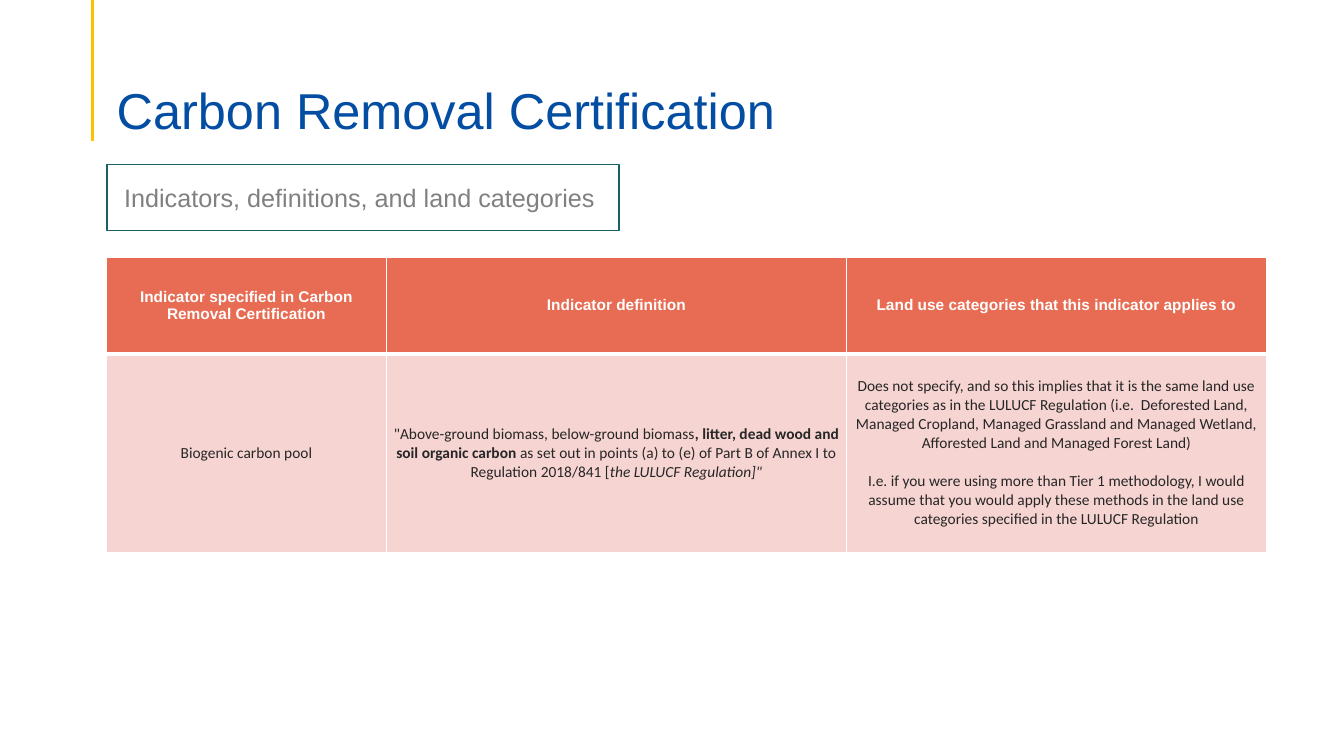
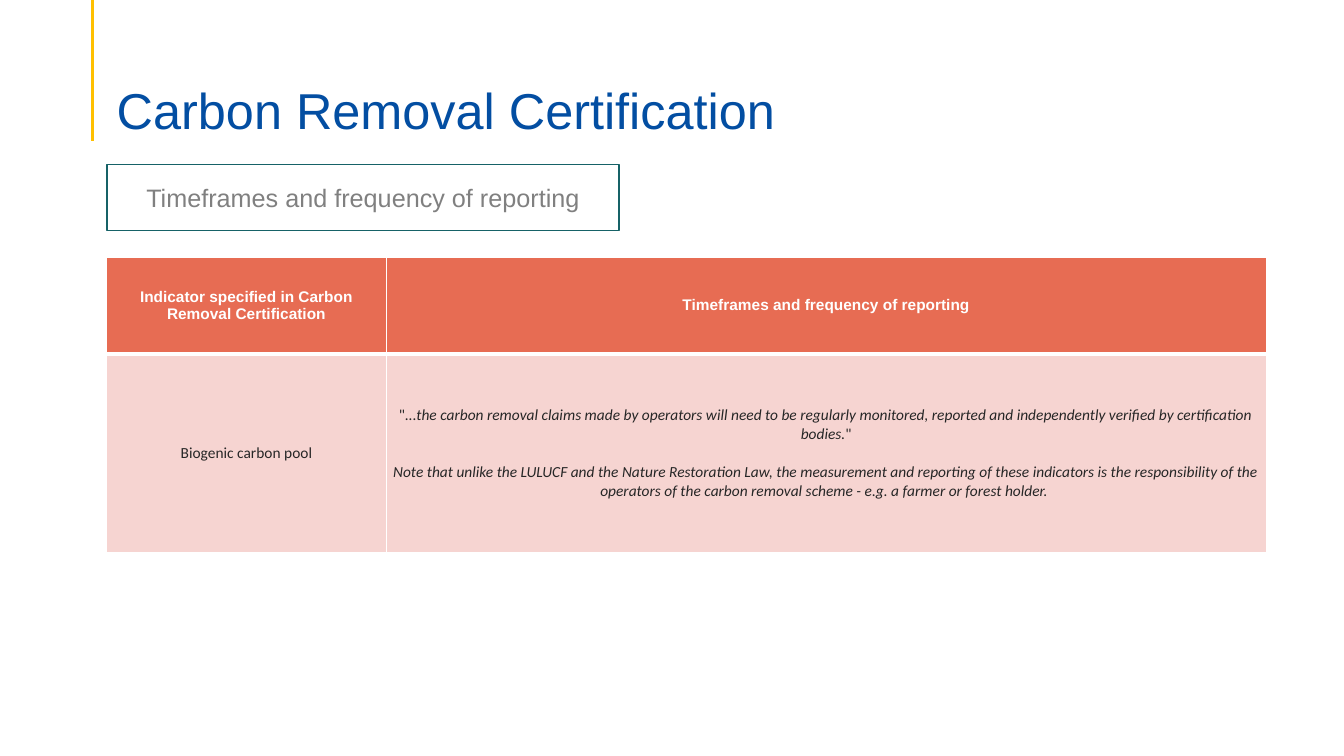
from typing import NamedTuple

from lxml import etree
from pptx import Presentation
from pptx.dml.color import RGBColor
from pptx.enum.shapes import MSO_CONNECTOR, MSO_SHAPE
from pptx.enum.text import MSO_ANCHOR, PP_ALIGN
from pptx.oxml.ns import qn
from pptx.util import Inches, Pt

STRAIGHT = MSO_CONNECTOR.STRAIGHT
RECTANGLE = MSO_SHAPE.RECTANGLE
CENTER = PP_ALIGN.CENTER
MIDDLE = MSO_ANCHOR.MIDDLE
BOTTOM = MSO_ANCHOR.BOTTOM

COLORS = {
    "white": "FFFFFF",
    "accent": "FFC000",
    "title": "034EA2",
    "subtitle": "808080",
    "frame": "166267",
    "header": "E76C53",
    "body": "F6D4D1",
    "ink": "262626",
}
HEADING_FONT, BODY_FONT = "Arial", "Calibri"
LEFT, WIDTH = 1.06, 11.5
ROW_HEIGHTS = (0.96, 1.97)
PARAGRAPH_GAP = 13.4
TITLE = "Carbon Removal Certification"


class Span(NamedTuple):
    text: str
    bold: bool = False
    italic: bool = False


Paragraphs = list[list[Span]]


class Column(NamedTuple):
    width: float
    heading: str
    content: Paragraphs


class CellStyle(NamedTuple):
    fill: str
    ink: str
    font: str
    borders: dict[str, float]


class PageContent(NamedTuple):
    subtitle: str
    columns: list[Column]


HEADER_STYLE = CellStyle("header", "white", HEADING_FONT,
                         {"L": 1, "R": 1, "T": 1, "B": 3})
BODY_STYLE = CellStyle("body", "ink", BODY_FONT,
                       {"L": 1, "R": 1, "T": 3, "B": 1})

INDICATOR = Column(2.77, "Indicator specified in Carbon Removal Certification",
                   [[Span("Biogenic carbon pool")]])
PAGES = [
    PageContent("Indicators, definitions, and land categories ", [
        INDICATOR,
        Column(4.57, "Indicator definition", [[
            Span('"Above-ground biomass, below-ground biomass'),
            Span(", litter, dead wood and soil organic carbon", bold=True),
            Span(" as set out in points (a) to (e) of Part B of Annex I to "
                 "Regulation 2018/841 ["),
            Span('the LULUCF Regulation]"', italic=True),
        ]]),
        Column(4.16, "Land use categories that this indicator applies to", [
            [Span("Does not specify, and so this implies that it is the same "
                  "land use categories as in the LULUCF Regulation (i.e.  "
                  "Deforested Land, Managed Cropland, Managed Grassland and "
                  "Managed Wetland, Afforested Land and Managed Forest Land)")],
            [Span("I.e. if you were using more than Tier 1 methodology, I would "
                  "assume that you would apply these methods in the land use "
                  "categories specified in the LULUCF Regulation")],
        ]),
    ]),
    PageContent("Timeframes and frequency of reporting", [
        INDICATOR,
        Column(8.73, "Timeframes and frequency of reporting", [
            [Span('"'),
             Span("...the carbon removal claims made by operators will need to "
                  "be regularly monitored, reported and independently verified "
                  "by certification bodies.", italic=True),
             Span('"')],
            [Span("Note that unlike the LULUCF and the Nature Restoration Law, "
                  "the measurement and reporting of these indicators is the "
                  "responsibility of the operators of the carbon removal scheme "
                  "- e.g. a farmer or forest holder. ", italic=True)],
        ]),
    ]),
]


def color(name: str) -> RGBColor:
    return RGBColor.from_string(COLORS[name])


def style_font(font, name: str, size: float, ink: str) -> None:
    font.name = name
    font.size = Pt(size)
    font.color.rgb = color(ink)


def add_accent_line(page) -> None:
    line = page.shapes.add_connector(
        STRAIGHT, Inches(0.92), Inches(0), Inches(0.92), Inches(1.4))
    line.line.color.rgb = color("accent")
    line.line.width = Pt(2.25)
    etree.SubElement(line._element.spPr, qn("a:effectLst"))


def add_title(page) -> None:
    box = page.shapes.add_textbox(
        Inches(LEFT), Inches(0.53), Inches(WIDTH), Inches(0.86))
    frame = box.text_frame
    frame.word_wrap = True
    frame.vertical_anchor = BOTTOM
    frame.margin_bottom = Inches(0)
    paragraph = frame.paragraphs[0]
    paragraph.text = TITLE
    paragraph.line_spacing = 0.9
    style_font(paragraph.font, HEADING_FONT, 36, "title")


def add_subtitle(page, text: str) -> None:
    box = page.shapes.add_shape(
        RECTANGLE, Inches(LEFT), Inches(1.63), Inches(5.08), Inches(0.66))
    box.shadow.inherit = False
    box.fill.solid()
    box.fill.fore_color.rgb = color("white")
    box.line.color.rgb = color("frame")
    box.line.width = Pt(1)
    box.text_frame.word_wrap = True
    box.text_frame.vertical_anchor = MIDDLE
    paragraph = box.text_frame.paragraphs[0]
    paragraph.text = text
    paragraph.alignment = CENTER
    style_font(paragraph.font, HEADING_FONT, 18, "subtitle")


def set_borders(cell, widths: dict[str, float]) -> None:
    properties = cell._tc.get_or_add_tcPr()
    for side, width in widths.items():
        line = etree.SubElement(properties, qn(f"a:ln{side}"), w=str(Pt(width)))
        fill = etree.SubElement(line, qn("a:solidFill"))
        etree.SubElement(fill, qn("a:srgbClr"), val=COLORS["white"])


def fill_cell(cell, paragraphs: Paragraphs, style: CellStyle) -> None:
    set_borders(cell, style.borders)
    cell.fill.solid()
    cell.fill.fore_color.rgb = color(style.fill)
    cell.vertical_anchor = MIDDLE
    cell.margin_left = cell.margin_right = Inches(0)
    cell.margin_top = cell.margin_bottom = Inches(0)
    frame = cell.text_frame
    for index, spans in enumerate(paragraphs):
        paragraph = frame.add_paragraph() if index else frame.paragraphs[0]
        paragraph.alignment = CENTER
        paragraph.space_before = Pt(PARAGRAPH_GAP if index else 0)
        style_font(paragraph.font, style.font, 11, style.ink)
        for span in spans:
            run = paragraph.add_run()
            run.text = span.text
            run.font.bold = span.bold
            run.font.italic = span.italic


def add_indicator_table(page, columns: list[Column]) -> None:
    table = page.shapes.add_table(
        len(ROW_HEIGHTS), len(columns), Inches(LEFT), Inches(2.55),
        Inches(WIDTH), Inches(sum(ROW_HEIGHTS))).table
    for row, height in zip(table.rows, ROW_HEIGHTS):
        row.height = Inches(height)
    for index, column in enumerate(columns):
        table.columns[index].width = Inches(column.width)
        heading = [[Span(column.heading, bold=True)]]
        fill_cell(table.cell(0, index), heading, HEADER_STYLE)
        fill_cell(table.cell(1, index), column.content, BODY_STYLE)


def main() -> None:
    deck = Presentation()
    deck.slide_width, deck.slide_height = Inches(13.33), Inches(7.5)
    blank = deck.slide_layouts[6]
    for content in PAGES:
        page = deck.slides.add_slide(blank)
        add_accent_line(page)
        add_indicator_table(page, content.columns)
        add_title(page)
        add_subtitle(page, content.subtitle)
    deck.save("out.pptx")


if __name__ == "__main__":
    main()
